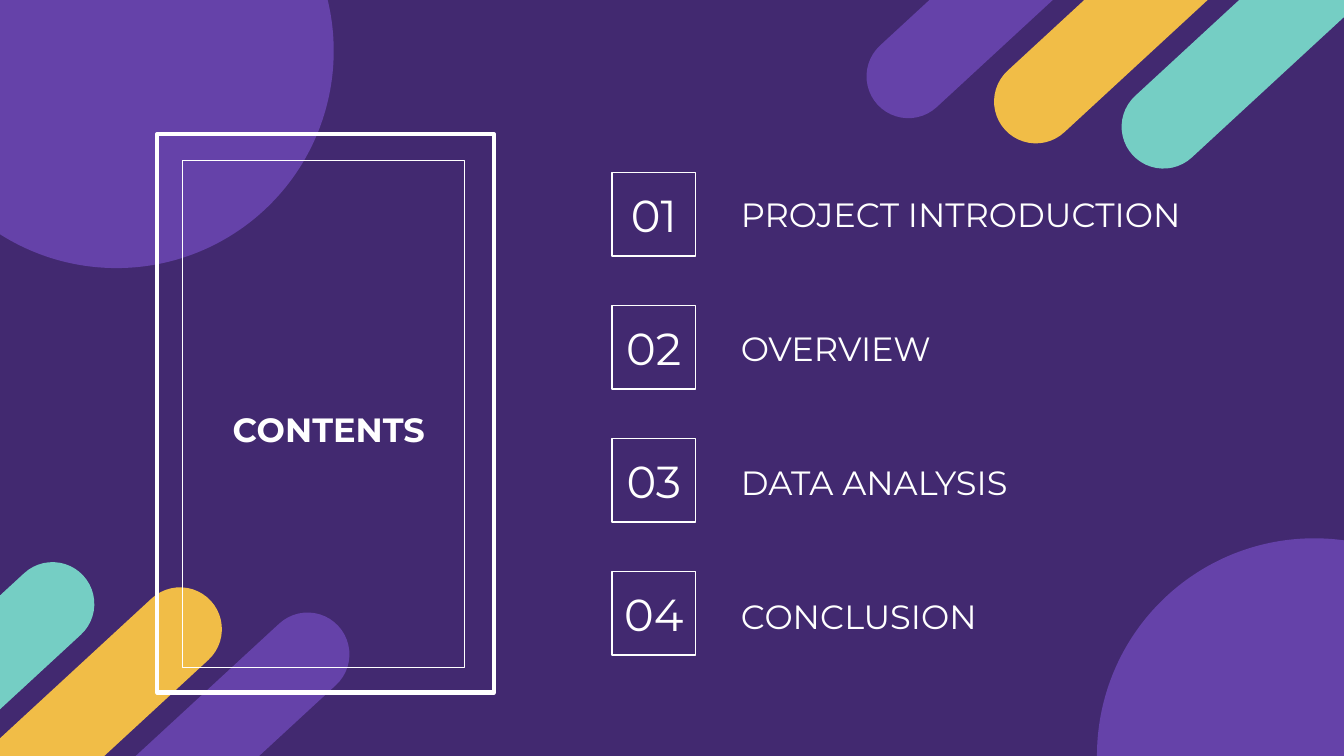
from pptx import Presentation
from pptx.dml.color import RGBColor
from pptx.enum.shapes import MSO_SHAPE
from pptx.enum.text import MSO_ANCHOR, MSO_AUTO_SIZE, PP_ALIGN
from pptx.util import Inches, Pt

RECTANGLE = MSO_SHAPE.RECTANGLE
OVAL = MSO_SHAPE.OVAL
ROUNDED = MSO_SHAPE.ROUNDED_RECTANGLE
CENTER, LEFT = PP_ALIGN.CENTER, PP_ALIGN.LEFT

COLORS = {
    "background": "422970",
    "purple": "6542A9",
    "yellow": "F1BD47",
    "teal": "75CEC4",
    "white": "FFFFFF",
}
FONT = "Montserrat"
SLIDE_WIDTH, SLIDE_HEIGHT = 13.33, 7.5
SECTIONS = ["PROJECT INTRODUCTION", "OVERVIEW", "DATA ANALYSIS", "CONCLUSION"]


def color(name):
    return RGBColor.from_string(COLORS[name])


def add_figure(shapes, kind, left, top, width, height, fill=None, line_width=None):
    """Add a preset shape with an optional fill and an optional white outline."""
    figure = shapes.add_shape(kind, Inches(left), Inches(top), Inches(width), Inches(height))
    figure.shadow.inherit = False
    if fill:
        figure.fill.solid()
        figure.fill.fore_color.rgb = color(fill)
    else:
        figure.fill.background()
    if line_width:
        figure.line.color.rgb = color("white")
        figure.line.width = Pt(line_width)
    else:
        figure.line.fill.background()
    return figure


def write(box, text, size, align, bold=False):
    paragraph = box.text_frame.paragraphs[0]
    paragraph.text = text
    paragraph.alignment = align
    font = paragraph.runs[0].font
    font.name, font.size, font.bold = FONT, Pt(size), bold
    font.color.rgb = color("white")


def add_heading(page, text, left, top, width, align=LEFT, bold=False):
    box = page.shapes.add_textbox(Inches(left), Inches(top), Inches(width), Inches(0.5))
    box.text_frame.word_wrap = True
    box.text_frame.auto_size = MSO_AUTO_SIZE.SHAPE_TO_FIT_TEXT
    write(box, text, 24, align, bold)


def add_backdrop(page):
    add_figure(page.shapes, RECTANGLE, 0, 0, SLIDE_WIDTH, SLIDE_HEIGHT, "background")
    for left, top in [(-1, -1.65), (10.88, 5.34)]:
        add_figure(page.shapes, OVAL, left, top, 4.31, 4.31, "purple")


def add_slanted_bars(page, left, top, fills):
    """Add a group of tilted pills, each stepping right and slightly down."""
    group = page.shapes.add_group_shape()
    for index, fill in enumerate(fills):
        bar = add_figure(group.shapes, ROUNDED, left + index * 1.265, top + index * 0.25,
                         3.05, 0.83, fill)
        bar.adjustments[0] = 0.5
        bar.rotation = 317.3


def add_title_frame(page, left, top, width, height):
    group = page.shapes.add_group_shape()
    add_figure(group.shapes, RECTANGLE, left, top, width, height, line_width=3)
    add_figure(group.shapes, RECTANGLE, left + 0.25, top + 0.26,
               width - 0.55, height - 0.51, line_width=0.25)


def add_agenda(page, left, top):
    side = 0.83
    for index in range(len(SECTIONS)):
        square = add_figure(page.shapes, RECTANGLE, left, top + index * 1.32,
                            side, side, line_width=1)
        square.text_frame.word_wrap = False
        square.text_frame.vertical_anchor = MSO_ANCHOR.MIDDLE
        write(square, f"{index + 1:02d}", 32, CENTER)
    for index, section in enumerate(SECTIONS):
        add_heading(page, section, left + 1.18, top + 0.16 + index * 1.33, 4.9)


def build_contents_page(deck):
    page = deck.slides.add_slide(deck.slide_layouts[6])
    add_backdrop(page)
    add_slanted_bars(page, 8.3, -0.41, ["purple", "yellow", "teal"])
    add_slanted_bars(page, -1.82, 6.33, ["teal", "yellow", "purple"])
    add_title_frame(page, 1.56, 1.33, 3.34, 5.54)
    add_heading(page, "CONTENTS", 1.62, 4.01, 3.28, CENTER, bold=True)
    add_agenda(page, 6.07, 1.71)


def main():
    deck = Presentation()
    deck.slide_width, deck.slide_height = Inches(SLIDE_WIDTH), Inches(SLIDE_HEIGHT)
    build_contents_page(deck)
    deck.save("out.pptx")


if __name__ == "__main__":
    main()
